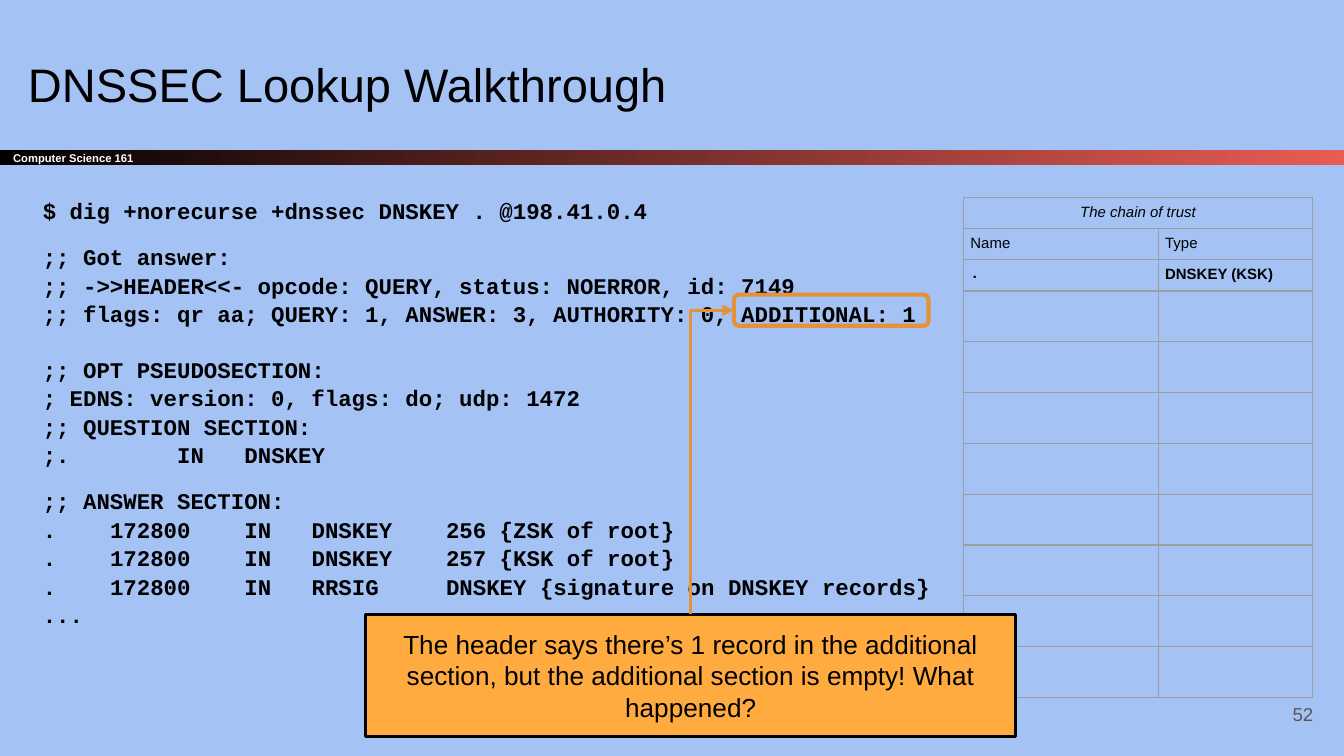
from lxml import etree
from pptx import Presentation
from pptx.dml.color import RGBColor
from pptx.enum import dml, shapes, text
from pptx.oxml import ns
from pptx.util import Cm, Pt

SKY = RGBColor(0xA4, 0xC2, 0xF4)
BLACK = RGBColor(0, 0, 0)
WHITE = RGBColor(0xFF, 0xFF, 0xFF)
CORAL = RGBColor(0xE8, 0x5C, 0x54)
ORANGE = RGBColor(0xE6, 0x91, 0x38)
AMBER = RGBColor(0xFF, 0xAB, 0x40)
GREY = RGBColor(0x59, 0x59, 0x59)
MID, TOP = text.MSO_ANCHOR.MIDDLE, text.MSO_ANCHOR.TOP
LEFT, CENTER, RIGHT = text.PP_ALIGN.LEFT, text.PP_ALIGN.CENTER, text.PP_ALIGN.RIGHT


def style(para, size, color=BLACK, face="Arial", bold=False, align=LEFT):
    para.alignment = align
    font = para.font
    font.size, font.name, font.bold = Pt(size), face, bold
    font.color.rgb = color


def add_box(left, top, width, height, anchor=MID):
    """Add a wrapping text box, in centimetres, and return its text frame."""
    frame = slide.shapes.add_textbox(Cm(left), Cm(top), Cm(width), Cm(height)).text_frame
    frame.word_wrap = True
    frame.vertical_anchor = anchor
    frame.margin_left = frame.margin_right = Cm(0.25)
    frame.margin_top = frame.margin_bottom = Cm(0.25)
    return frame


prs = Presentation()
prs.slide_width, prs.slide_height = Cm(25.4), Cm(14.29)
slide = prs.slides.add_slide(prs.slide_layouts[6])
slide.background.fill.solid()
slide.background.fill.fore_color.rgb = SKY

# Header bar
bar = slide.shapes.add_shape(shapes.MSO_SHAPE.RECTANGLE, 0, Cm(2.83), Cm(25.4), Cm(0.3))
bar.shadow.inherit = False
bar.line.fill.background()
bar.fill.gradient()
bar.fill.gradient_angle = 0
for stop, color, place in zip(bar.fill.gradient_stops, (BLACK, CORAL), (0, 1)):
    stop.color.rgb, stop.position = color, place
frame = bar.text_frame
frame.margin_top = frame.margin_bottom = 0
frame.text = "Computer Science 161"
style(frame.paragraphs[0], 6, WHITE, bold=True)

# Title and page number
title = add_box(0.28, 0.78, 23.67, 1.6)
title.text = "DNSSEC Lookup Walkthrough"
style(title.paragraphs[0], 25.2)
page = add_box(23.55, 12.95, 1.52, 1.09)
page.text = "52"
style(page.paragraphs[0], 10, GREY, align=RIGHT)

# Terminal output: blocks with the gap above each, in points
blocks = [
    (0, ["$ dig +norecurse +dnssec DNSKEY . @198.41.0.4"]),
    (9.5, [
        ";; Got answer:",
        ";; ->>HEADER<<- opcode: QUERY, status: NOERROR, id: 7149",
        ";; flags: qr aa; QUERY: 1, ANSWER: 3, AUTHORITY: 0, ADDITIONAL: 1",
    ]),
    (14.4, [
        ";; OPT PSEUDOSECTION:",
        "; EDNS: version: 0, flags: do; udp: 1472",
        ";; QUESTION SECTION:",
        ";.\t\tIN\tDNSKEY",
    ]),
    (9.5, [
        ";; ANSWER SECTION:",
        ".\t172800\tIN\tDNSKEY\t256 {ZSK of root}",
        ".\t172800\tIN\tDNSKEY\t257 {KSK of root}",
        ".\t172800\tIN\tRRSIG\tDNSKEY {signature on DNSKEY records}",
        "...",
    ]),
]
dig = add_box(0.56, 3.45, 17.27, 10.46, TOP)
para = dig.paragraphs[0]
for gap, lines in blocks:
    for num, line in enumerate(lines):
        if para.text:
            para = dig.add_paragraph()
        para.text = line
        para.line_spacing = 1.06
        para.space_before = Pt(0 if num else gap)
        style(para, 12, face="Courier New", bold=True)

# Chain of trust
heights = [0.59] * 3 + [0.96] * 8
table = slide.shapes.add_table(
    11, 2, Cm(18.21), Cm(3.73), Cm(6.6), Cm(sum(heights))).table
table.first_row = table.horz_banding = False
for col, width in zip(table.columns, (3.68, 2.92)):
    col.width = Cm(width)
for row, height in zip(table.rows, heights):
    row.height = Cm(height)
    for cell in row.cells:
        cell.fill.background()
        cell.margin_left = cell.margin_right = Cm(0.13)
        cell.margin_top = cell.margin_bottom = Cm(0.12)
        style(cell.text_frame.paragraphs[0], 8)
        props = cell._tc.get_or_add_tcPr()
        for num, side in enumerate(("lnL", "lnR", "lnT", "lnB")):
            edge = etree.Element(ns.qn("a:" + side), w=str(Pt(0.75)))
            fill = etree.SubElement(edge, ns.qn("a:solidFill"))
            etree.SubElement(fill, ns.qn("a:srgbClr"), val="9E9E9E")
            props.insert(num, edge)
table.cell(0, 0).merge(table.cell(0, 1))
words = [["The chain of trust"], ["Name", "Type"], [".", "DNSKEY (KSK)"]]
for r, row in enumerate(words):
    for c, word in enumerate(row):
        para = table.cell(r, c).text_frame.paragraphs[0]
        para.text = word
        style(para, 8, face="Courier New" if word == "." else "Arial",
              bold=r == 2, align=LEFT if r else CENTER)
        para.font.italic = r == 0

# Highlight and callout
mark = slide.shapes.add_shape(
    shapes.MSO_SHAPE.ROUNDED_RECTANGLE, Cm(13.87), Cm(5.57), Cm(3.68), Cm(0.59))
mark.shadow.inherit = False
mark.fill.background()
mark.line.color.rgb, mark.line.width = ORANGE, Pt(2.25)

note = slide.shapes.add_shape(
    shapes.MSO_SHAPE.RECTANGLE, Cm(6.91), Cm(11.61), Cm(12.29), Cm(2.31))
note.shadow.inherit = False
note.fill.solid()
note.fill.fore_color.rgb = AMBER
note.line.color.rgb, note.line.width = BLACK, Pt(1.5)
note.text_frame.word_wrap = True
note.text_frame.text = ("The header says there’s 1 record in the additional section, "
                        "but the additional section is empty! What happened?")
style(note.text_frame.paragraphs[0], 14, align=CENTER)

# Elbow arrow: up from the callout, then right to the highlight
arrow = slide.shapes.add_connector(shapes.MSO_CONNECTOR.ELBOW, 0, 0, Cm(1), Cm(1))
arrow.begin_connect(note, 0)
arrow.end_connect(mark, 1)
rise, run = Cm(5.75), Cm(0.81)
midx, midy = Cm(13.46), Cm(8.74)
props = arrow._element.spPr
frame = props.find(ns.qn("a:xfrm"))
for flip in ("flipH", "flipV"):
    frame.attrib.pop(flip, None)
frame.set("rot", str(270 * 60000))
arrow.left, arrow.top = midx - rise // 2, midy - run // 2
arrow.width, arrow.height = rise, run
props.find(ns.qn("a:prstGeom")).set("prst", "bentConnector2")
arrow.line.color.rgb, arrow.line.width = ORANGE, Pt(1.5)
arrow.line.dash_style = dml.MSO_LINE.SOLID
etree.SubElement(props.find(ns.qn("a:ln")), ns.qn("a:tailEnd"), type="triangle")
etree.SubElement(props, ns.qn("a:effectLst"))

prs.save("out.pptx")
